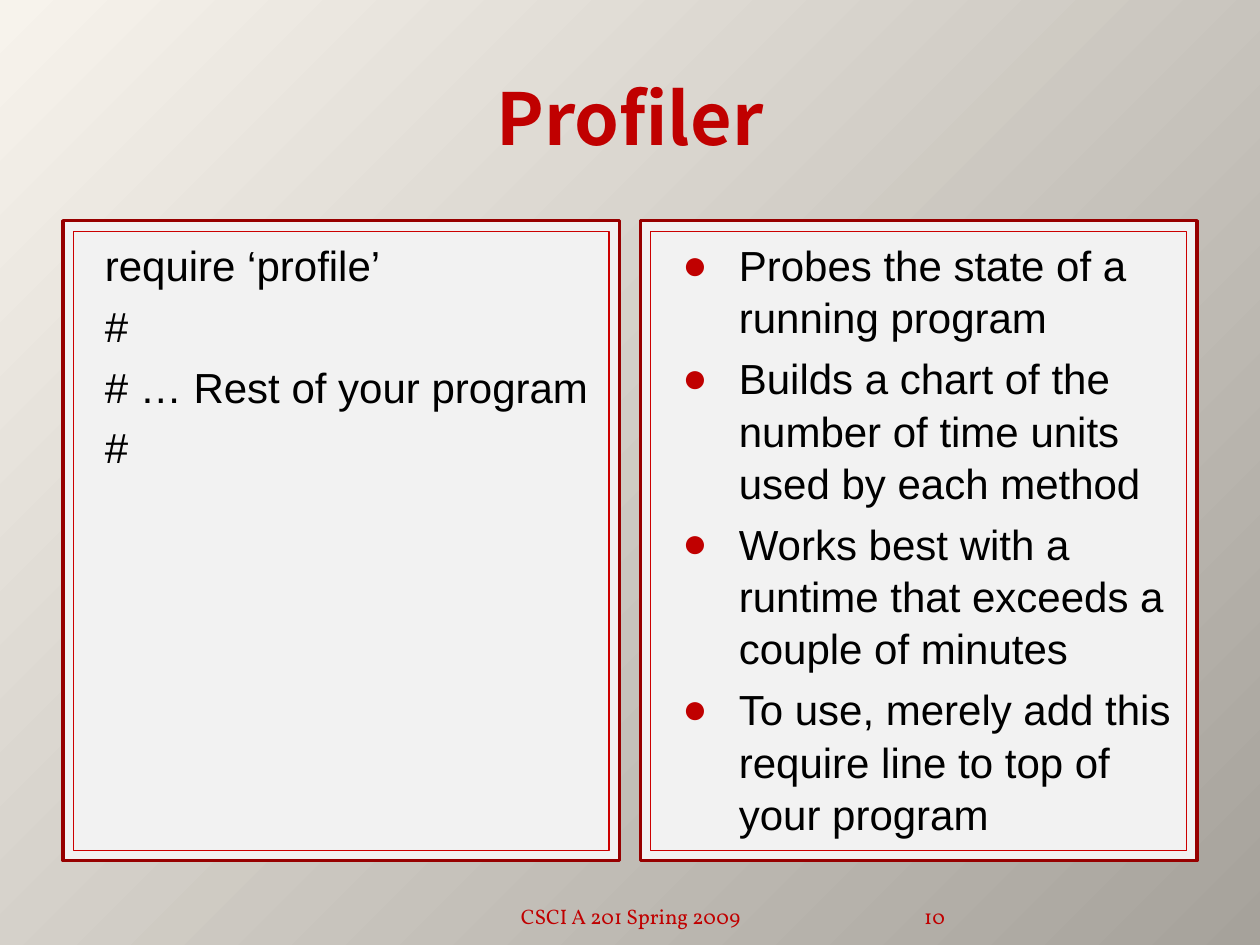
from lxml.etree import SubElement
from pptx import Presentation
from pptx.dml.color import RGBColor
from pptx.enum.shapes import MSO_SHAPE
from pptx.enum.text import MSO_ANCHOR, MSO_AUTO_SIZE, PP_ALIGN
from pptx.oxml.ns import qn
from pptx.util import Cm, Pt

COLORS = {
    "light": "F7F3EC", "dark": "A6A29B", "panel": "F2F2F2", "frame": "970000",
    "inner": "CC0000", "accent": "C00000", "text": "000000",
}
CODE = ["require ‘profile’", "#", "# … Rest of your program", "#"]
POINTS = [
    "Probes the state of a running program",
    "Builds a chart of the number of time units used by each method",
    "Works best with a runtime that exceeds a couple of minutes",
    "To use, merely add this require line to top of your program",
]


def rgb(name):
    """Return the named palette colour."""
    return RGBColor.from_string(COLORS[name])


def place(sp, box):
    """Move a shape to a box of left, top, width and height in centimetres."""
    sp.left, sp.top, sp.width, sp.height = map(Cm, box)


def paint(sp, line, width):
    """Give a shape the panel fill and an outline."""
    sp.fill.solid()
    sp.fill.fore_color.rgb = rgb("panel")
    sp.line.color.rgb = rgb(line)
    sp.line.width = Pt(width)


def add_run(p, text, font, size, color, bold=False):
    """Add one formatted run to a paragraph."""
    r = p.add_run()
    r.text = text
    r.font.name, r.font.size, r.font.bold = font, Pt(size), bold
    r.font.color.rgb = rgb(color)


def set_bullet(p, char):
    """Set a hanging indent with a coloured bullet, or with none."""
    pPr = p._p.get_or_add_pPr()
    pPr.set("marL", str(Cm(1.52)))
    pPr.set("indent", str(Cm(-1.14)))
    if not char:
        SubElement(pPr, qn("a:buNone"))
        return
    clr = SubElement(pPr, qn("a:buClr"))
    SubElement(clr, qn("a:srgbClr"), val=COLORS["accent"])
    SubElement(pPr, qn("a:buFont"), typeface="Arial")
    SubElement(pPr, qn("a:buChar"), char=char)


def set_background(s):
    """Fill the background with a gradient spreading from the top left."""
    fill = s.background.fill
    fill.gradient()
    for stop, name, pos in zip(fill.gradient_stops, ("light", "dark"), (0, 1)):
        stop.color.rgb = rgb(name)
        stop.position = pos
    grad = s.background._cSld.find(".//" + qn("a:gradFill"))
    grad.remove(grad.find(qn("a:lin")))
    path = SubElement(grad, qn("a:path"), path="circle")
    SubElement(path, qn("a:fillToRect"), r="100000", b="100000")


def fill_title(sp, box, text):
    """Place the title and write its text."""
    place(sp, box)
    tf = sp.text_frame
    tf.auto_size = MSO_AUTO_SIZE.NONE
    tf.vertical_anchor = MSO_ANCHOR.MIDDLE
    p = tf.paragraphs[0]
    p.alignment = PP_ALIGN.CENTER
    add_run(p, text, "Noto Sans CJK SC", 41, "accent", True)


def add_frame(s, box):
    """Add the outer frame of a panel."""
    sp = s.shapes.add_shape(MSO_SHAPE.RECTANGLE, *map(Cm, box))
    sp.shadow.inherit = False
    paint(sp, "frame", 2)
    s.shapes._spTree.insert(2, sp._element)


def fill_panel(s, sp, box, lines, char=None):
    """Frame a body placeholder inside the box and write its lines."""
    add_frame(s, box)
    left, top, width, height = box
    gap = 0.21
    place(sp, (left + gap, top + gap, width - 2 * gap, height - 2 * gap))
    paint(sp, "inner", 0.75)
    tf = sp.text_frame
    tf.auto_size = MSO_AUTO_SIZE.NONE
    for i, text in enumerate(lines):
        p = tf.add_paragraph() if i else tf.paragraphs[0]
        set_bullet(p, char)
        p.space_before = Pt(4.8 if i else 0)
        p.line_spacing = 1.04
        add_run(p, text, "Arial", 24, "text")


def add_footer(s, box, text, align, side=0.25):
    """Add a small footer text with the given side margins."""
    tf = s.shapes.add_textbox(*map(Cm, box)).text_frame
    tf.word_wrap = True
    tf.vertical_anchor = MSO_ANCHOR.BOTTOM
    tf.margin_left = tf.margin_right = Cm(side)
    p = tf.paragraphs[0]
    p.alignment = align
    add_run(p, text, "Vollkorn", 12, "accent")


def main():
    """Build the slide and save it."""
    prs = Presentation()
    prs.slide_width, prs.slide_height = Cm(25.4), Cm(19.05)
    s = prs.slides.add_slide(prs.slide_layouts[3])
    title, left, right = s.placeholders
    set_background(s)
    fill_title(title, (1.27, 0.76, 22.86, 3.18), "Profiler")
    fill_panel(s, left, (1.27, 4.45, 11.22, 12.9), CODE)
    fill_panel(s, right, (12.91, 4.45, 11.22, 12.9), POINTS, "●")
    add_footer(s, (8.69, 17.83, 8.05, 1.02), "CSCI A 201 Spring 2009", PP_ALIGN.CENTER)
    add_footer(s, (16.94, 17.83, 2.11, 1.02), "10", PP_ALIGN.RIGHT, 0)
    prs.save("out.pptx")


if __name__ == "__main__":
    main()
